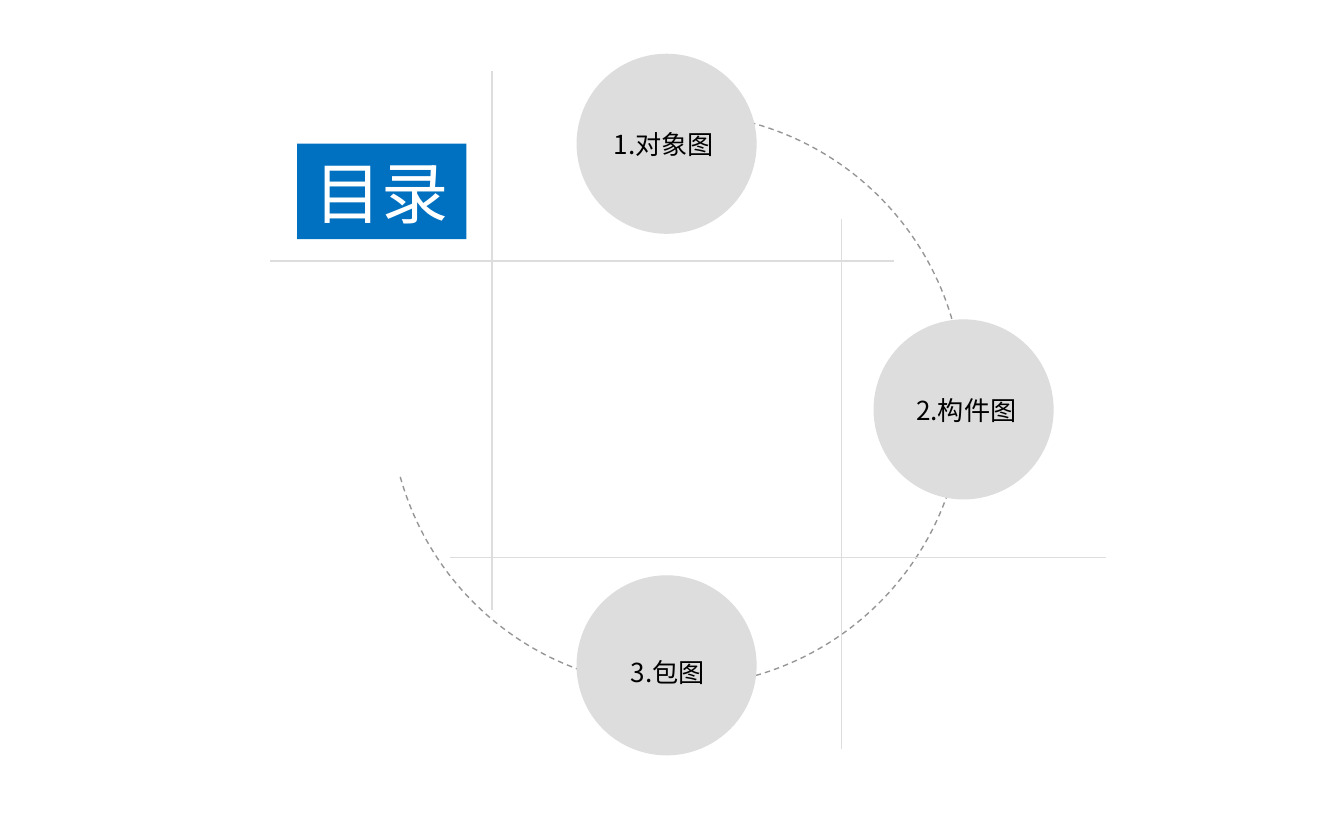
"""Build a contents slide with three topics placed around a dashed arc."""
from lxml import etree
from pptx import Presentation
from pptx import util as u
from pptx.dml.color import RGBColor
from pptx.enum import dml, shapes, text
from pptx.oxml.ns import qn

COLORS = {"blue": "0070C0", "gray": "DDDDDD", "dash": "969696", "white": "FFFFFF", "black": "000000"}
TITLE = ("目录", (159.1, 77, 90.7, 51.1))
DIAMETER = 96.5
TOPICS = [
    {"label": "1.对象图", "circle": (308.9, 28.8), "box": (319, 64.8, 73.4, 24.5)},
    {"label": "2.构件图", "circle": (468, 171.1), "box": (468, 207.4, 99.4, 24.5)},
    {"label": "3.包图", "circle": (308.9, 308.2), "box": (311, 347.8, 93.6, 24.5)},
]
GUIDES = [
    (263.5, 38.2, 263.5, 326.9),
    (450.7, 117.4, 450.7, 401),
    (144.7, 139.9, 478.8, 139.9),
    (241.2, 298.8, 592.6, 298.8),
]
ARC = (208.8, 60.5, 307.4, 307.4)
ARC_ANGLES = (282.9, 164.4)


def color(name):
    return RGBColor.from_string(COLORS[name])


def points(values):
    return [u.Pt(value) for value in values]


def write(shape, content, font_name, size, color_name):
    frame = shape.text_frame
    frame.text = content
    frame.word_wrap = True
    frame.auto_size = text.MSO_AUTO_SIZE.NONE
    frame.vertical_anchor = text.MSO_ANCHOR.MIDDLE
    paragraph = frame.paragraphs[0]
    paragraph.alignment = text.PP_ALIGN.CENTER
    font = paragraph.runs[0].font
    font.name = font_name
    font.size = u.Pt(size)
    font.color.rgb = color(color_name)
    east_asian = etree.Element(qn("a:ea"), typeface="Noto Sans CJK SC")
    font._element.find(qn("a:latin")).addnext(east_asian)


def add_title(slide):
    content, box = TITLE
    title = slide.shapes.title
    title.left, title.top, title.width, title.height = points(box)
    title.fill.solid()
    title.fill.fore_color.rgb = color("blue")
    write(title, content, "Karla", 36, "white")


def add_arc(slide):
    arc = slide.shapes.add_shape(shapes.MSO_SHAPE.ARC, *points(ARC))
    for index, angle in enumerate(ARC_ANGLES):
        arc.adjustments[index] = angle * 0.6
    arc.shadow.inherit = False
    arc.fill.background()
    arc.line.color.rgb = color("dash")
    arc.line.width = u.Pt(0.75)
    arc.line.dash_style = dml.MSO_LINE.DASH


def add_guide(slide, ends):
    guide = slide.shapes.add_connector(shapes.MSO_CONNECTOR.STRAIGHT, *points(ends))
    guide.line.color.rgb = color("gray")
    guide.line.width = u.Pt(0.75)
    etree.SubElement(guide._element.spPr, qn("a:effectLst"))


def add_topic(slide, topic):
    circle = slide.shapes.add_shape(
        shapes.MSO_SHAPE.OVAL, *points((*topic["circle"], DIAMETER, DIAMETER)))
    circle.shadow.inherit = False
    circle.fill.solid()
    circle.fill.fore_color.rgb = color("gray")
    circle.line.fill.background()
    label = slide.shapes.add_textbox(*points(topic["box"]))
    write(label, topic["label"], "Noto Sans CJK SC", 14, "black")


def main():
    presentation = Presentation()
    presentation.slide_width, presentation.slide_height = points((720, 450))
    slide = presentation.slides.add_slide(presentation.slide_layouts[5])
    add_title(slide)
    add_arc(slide)
    for ends in GUIDES:
        add_guide(slide, ends)
    for topic in TOPICS:
        add_topic(slide, topic)
    presentation.save("out.pptx")


if __name__ == "__main__":
    main()
